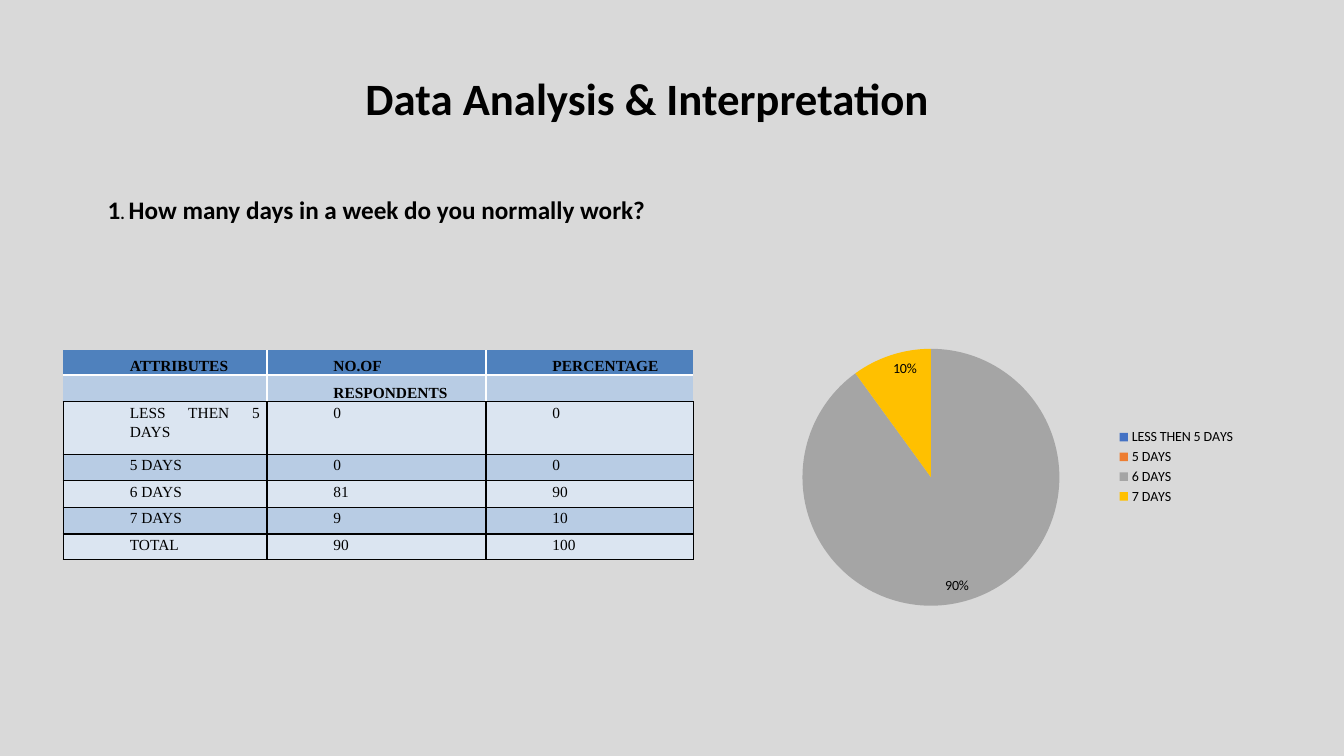
from lxml.etree import SubElement
from pptx import Presentation
from pptx.chart.data import CategoryChartData
from pptx.dml.color import RGBColor
from pptx.enum.chart import XL_CHART_TYPE as ChartType
from pptx.enum.chart import XL_LABEL_POSITION as LabelPosition
from pptx.enum.chart import XL_LEGEND_POSITION as LegendPosition
from pptx.enum.text import MSO_ANCHOR as Anchor
from pptx.enum.text import PP_ALIGN as Align
from pptx.oxml.ns import qn
from pptx.util import Pt

COLOURS = {
    "background": "D9D9D9", "ink": "000000", "white": "FFFFFF",
    "header": "4F81BD", "dark_band": "B8CCE4", "light_band": "DBE5F1",
    "less_than_5": "4472C4", "five": "ED7D31", "six": "A5A5A5", "seven": "FFC000",
}
ANSWERS = [
    ("ATTRIBUTES", "NO.OF", "PERCENTAGE"),
    ("", "RESPONDENTS", ""),
    ("LESS THEN 5 DAYS", "0", "0"),
    ("5 DAYS", "0", "0"),
    ("6 DAYS", "81", "90"),
    ("7 DAYS", "9", "10"),
    ("TOTAL", "90", "100"),
]
HEADER_ROWS = 2
COLUMN_WIDTHS = [145.5, 156.5, 148]
ROW_HEIGHTS = [18, 19, 37.5, 19, 19, 19, 18]
SLICE_COLOURS = ["less_than_5", "five", "six", "seven"]


def colour(name):
    return RGBColor.from_string(COLOURS[name])


def add_text(paragraph, words, size, font="Calibri", bold=True):
    run = paragraph.add_run()
    run.text = words
    run.font.size = Pt(size)
    run.font.name = font
    run.font.bold = bold
    run.font.color.rgb = colour("ink")


def add_line_of_text(slide, left, top, width, height, pieces):
    frame = slide.shapes.add_textbox(Pt(left), Pt(top), Pt(width), Pt(height)).text_frame
    frame.word_wrap = False
    for words, size in pieces:
        add_text(frame.paragraphs[0], words, size)


def add_border(cell, side, name, width):
    line = SubElement(cell._tc.get_or_add_tcPr(), qn(f"a:ln{side}"), w=str(Pt(width)))
    if name is None:
        SubElement(line, qn("a:noFill"))
    else:
        fill = SubElement(line, qn("a:solidFill"))
        SubElement(fill, qn("a:srgbClr"), val=COLOURS[name])


def border_cell(cell, row, column):
    if row >= HEADER_ROWS:
        borders = {side: ("ink", 1) for side in "LRTB"}
    else:
        last_column = len(COLUMN_WIDTHS) - 1
        borders = {
            "L": ("white" if column > 0 else None, 1),
            "R": ("white" if column < last_column else None, 1),
            "T": ("white" if row > 0 else None, 1.5),
            "B": ("white", 1.5) if row < HEADER_ROWS - 1 else ("ink", 1),
        }
    for side, (name, width) in borders.items():
        add_border(cell, side, name, width)


def fill_cell(cell, words, row, column):
    border_cell(cell, row, column)
    band = "header" if row == 0 else "dark_band" if row % 2 else "light_band"
    cell.fill.solid()
    cell.fill.fore_color.rgb = colour(band)
    cell.margin_left = cell.margin_right = Pt(5)
    cell.margin_top = cell.margin_bottom = Pt(0)
    cell.vertical_anchor = Anchor.BOTTOM if row < HEADER_ROWS else Anchor.TOP
    paragraph = cell.text_frame.paragraphs[0]
    paragraph.alignment = Align.JUSTIFY
    paragraph.line_spacing = 1.15
    paragraph._p.get_or_add_pPr().set("marL", str(Pt(42.5)))
    if words:
        add_text(paragraph, words, 11, font="Times New Roman", bold=row < HEADER_ROWS)
    else:
        SubElement(paragraph._p, qn("a:endParaRPr"), sz="1100")


def add_answer_table(slide):
    table = slide.shapes.add_table(
        len(ANSWERS), len(COLUMN_WIDTHS), Pt(45.2), Pt(250),
        Pt(sum(COLUMN_WIDTHS)), Pt(sum(ROW_HEIGHTS))).table
    table.first_row = table.horz_banding = False
    for column, width in zip(table.columns, COLUMN_WIDTHS):
        column.width = Pt(width)
    for row, height in zip(table.rows, ROW_HEIGHTS):
        row.height = Pt(height)
    for row, answer in enumerate(ANSWERS):
        for column, words in enumerate(answer):
            fill_cell(table.cell(row, column), words, row, column)


def place_pie(chart, **fractions):
    plot_area = chart._chartSpace.chart.plotArea
    for old_layout in plot_area.findall(qn("c:layout")):
        plot_area.remove(old_layout)
    layout = SubElement(plot_area, qn("c:layout"))
    plot_area.insert(0, layout)
    manual = SubElement(layout, qn("c:manualLayout"))
    settings = {"layoutTarget": "inner", "xMode": "edge", "yMode": "edge", **fractions}
    for tag, value in settings.items():
        SubElement(manual, qn(f"c:{tag}"), val=str(value))


def add_days_pie(slide):
    days = CategoryChartData()
    day_rows = ANSWERS[HEADER_ROWS:-1]
    days.categories = [answer[0] for answer in day_rows]
    days.add_series("Series 1", [int(answer[2]) for answer in day_rows])
    chart = slide.shapes.add_chart(
        ChartType.PIE, Pt(530), Pt(225.4), Pt(360), Pt(216), days).chart
    chart.has_title = False
    chart.font.size = Pt(10)
    chart.font.name = "Calibri"
    chart.font.color.rgb = colour("ink")
    chart.has_legend = True
    chart.legend.position = LegendPosition.RIGHT
    chart.legend.include_in_layout = False
    pie = chart.plots[0]
    pie.vary_by_categories = True
    for index, name in enumerate(SLICE_COLOURS):
        fill = pie.series[0].points[index].format.fill
        fill.solid()
        fill.fore_color.rgb = colour(name)
    pie.has_data_labels = True
    labels = pie.data_labels
    labels.show_percentage = True
    labels.show_value = False
    labels.number_format = "0%"
    labels.number_format_is_linked = False
    labels.position = LabelPosition.INSIDE_END
    place_pie(chart, x=0.12, y=0.11, w=0.51, h=0.85)


def main():
    deck = Presentation()
    deck.slide_width, deck.slide_height = Pt(960), Pt(540)
    slide = deck.slides.add_slide(deck.slide_layouts[6])
    slide.background.fill.solid()
    slide.background.fill.fore_color.rgb = colour("background")
    add_line_of_text(slide, 254, 46.8, 420.5, 46, [("Data Analysis & Interpretation", 32)])
    add_answer_table(slide)
    question = [("1", 18), (". ", 12), ("How many days in a week do you normally work?", 18)]
    add_line_of_text(slide, 69.8, 135.5, 400, 29, question)
    add_days_pie(slide)
    deck.save("out.pptx")


if __name__ == "__main__":
    main()
